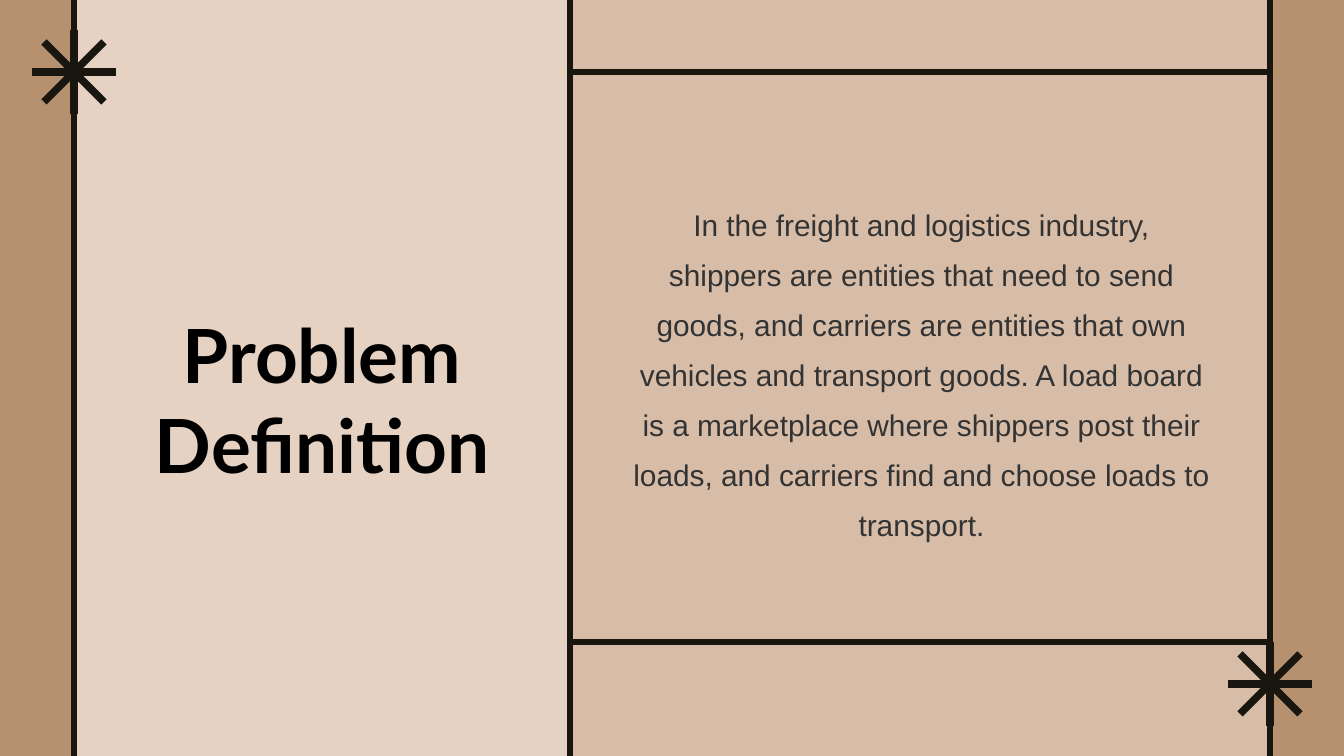
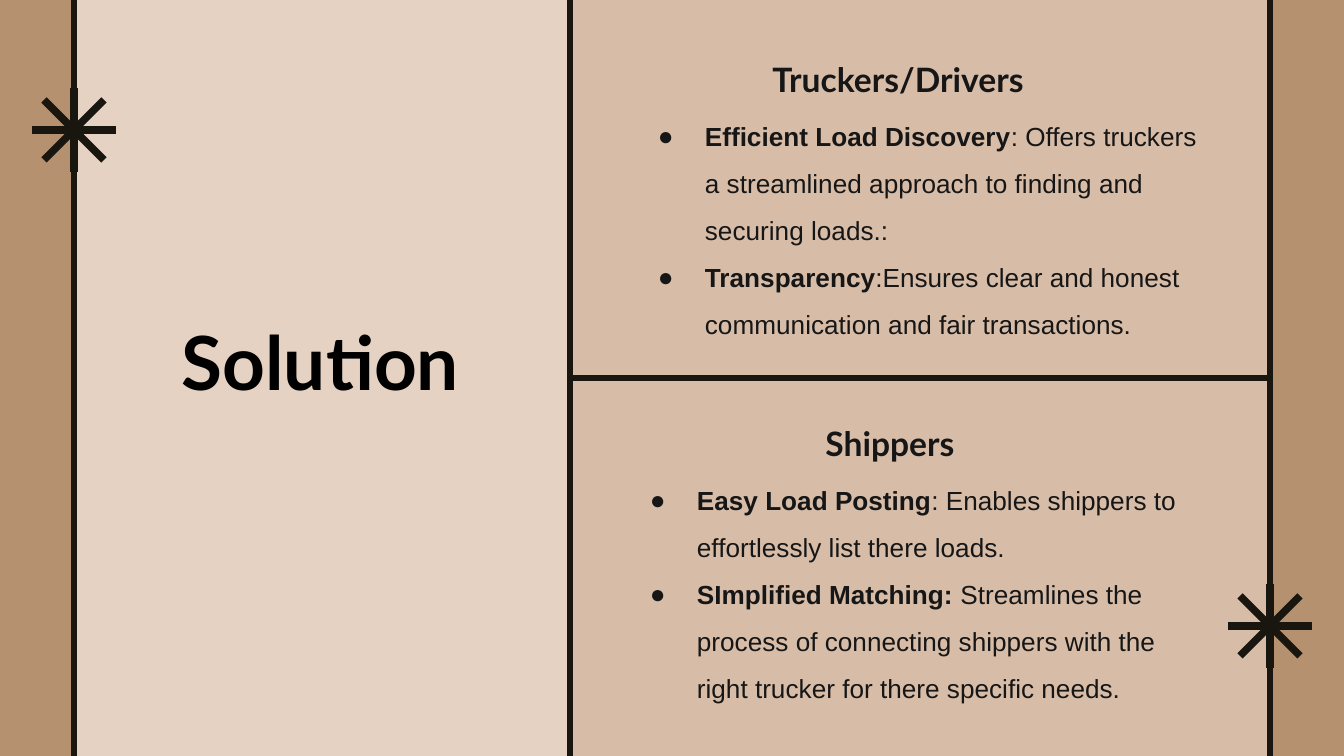
"""Builds two framed slides: the problem definition and the solution."""
from dataclasses import dataclass

from lxml import etree
from pptx import Presentation
from pptx.dml.color import RGBColor
from pptx.enum.shapes import MSO_CONNECTOR, MSO_SHAPE
from pptx.enum.text import MSO_ANCHOR, MSO_AUTO_SIZE, PP_ALIGN
from pptx.oxml.ns import qn
from pptx.util import Emu, Pt

STRAIGHT, RECT = MSO_CONNECTOR.STRAIGHT, MSO_SHAPE.RECTANGLE
TOP, GROW = MSO_ANCHOR.TOP, MSO_AUTO_SIZE.SHAPE_TO_FIT_TEXT
CENTER, LEFT = PP_ALIGN.CENTER, PP_ALIGN.LEFT
W, H = 1344, 756
RAIL_L, RAIL_MID, RAIL_R = 74, 570, W - 74
STAR_ARM, STAR_DIAGONAL = 42, 30
BULLET_INDENT, BULLET_HANG = 67, 47


@dataclass(frozen=True)
class Theme:
    """Colours, fonts, type sizes and line weights."""
    back: str = "D7BDA8"
    band: str = "B5916F"
    panel: str = "E6D2C3"
    rule: str = "191610"
    title: str = "000000"
    body: str = "333333"
    ink: str = "171616"
    head_font: str = "Lato"
    body_font: str = "Arial"
    title_size: int = 40
    head_size: int = 18
    body_size: int = 16
    bullet_size: int = 14
    rule_width: int = 3
    star_width: int = 4
    loose: float = 1.4
    looser: float = 1.5


T = Theme()

SLIDES = [
    {
        "title": "Problem Definition",
        "title_box": (93, 309, 458, 181),
        "star_y": 72,
        "rules": [72, 642],
        "body": "In the freight and logistics industry, shippers are entities "
                "that need to send goods, and carriers are entities that own "
                "vehicles and transport goods. A load board is a marketplace "
                "where shippers post their loads, and carriers find and "
                "choose loads to transport.",
        "body_box": (633, 192, 577, 340),
    },
    {
        "title": "Solution",
        "title_box": (74, 316, 493, 90),
        "star_y": 130,
        "rules": [378],
        "groups": [
            {
                "head": "Truckers/Drivers",
                "head_box": (715, 43, 366, 40),
                "box": (638, 105, 559, 222),
                "bullets": [
                    ("Efficient Load Discovery",
                     ": Offers truckers a streamlined approach to finding "
                     "and securing loads.:"),
                    ("Transparency",
                     ":Ensures clear and honest communication and fair "
                     "transactions."),
                ],
            },
            {
                "head": "Shippers",
                "head_box": (707, 407, 366, 40),
                "box": (630, 469, 559, 269),
                "bullets": [
                    ("Easy Load Posting",
                     ": Enables shippers to effortlessly list there loads."),
                    ("SImplified Matching: ",
                     "Streamlines the process of connecting shippers with "
                     "the right trucker for there specific needs."),
                ],
            },
        ],
    },
]


def px(n):
    """Turn px into EMU."""
    return Emu(round(n * 9144000 / W))


def rgb(colour):
    """Turn a hex string into a colour."""
    return RGBColor.from_string(colour)


def add_block(s, x, width, colour):
    """Add a full-height plain rectangle."""
    sp = s.shapes.add_shape(RECT, px(x), 0, px(width), px(H))
    sp.shadow.inherit = False
    sp.fill.solid()
    sp.fill.fore_color.rgb = rgb(colour)
    sp.line.fill.background()


def add_line(s, x1, y1, x2, y2, width=T.rule_width):
    """Add a straight dark line."""
    line = s.shapes.add_connector(STRAIGHT, px(x1), px(y1), px(x2), px(y2))
    line.line.color.rgb = rgb(T.rule)
    line.line.width = Pt(width)
    etree.SubElement(line._element.spPr, qn("a:effectLst"))


def add_star(s, x, y):
    """Add an eight-armed star centred on a point."""
    a, d = STAR_ARM, STAR_DIAGONAL
    for dx, dy in [(a, 0), (0, a), (d, d), (-d, d)]:
        add_line(s, x - dx, y - dy, x + dx, y + dy, T.star_width)


def set_frame(sp, box):
    """Place a text shape and give it a wrapping frame without insets."""
    sp.left, sp.top, sp.width, sp.height = map(px, box)
    tf = sp.text_frame
    tf.word_wrap = True
    tf.auto_size = GROW
    tf.vertical_anchor = TOP
    tf.margin_left = tf.margin_right = tf.margin_top = tf.margin_bottom = 0
    return tf


def add_textbox(s, box):
    """Add a text box and return its frame."""
    return set_frame(s.shapes.add_textbox(*map(px, box)), box)


def add_run(p, text, font, size, colour, bold=False):
    """Add one formatted run."""
    r = p.add_run()
    r.text = text
    r.font.name, r.font.size, r.font.bold = font, Pt(size), bold
    r.font.color.rgb = rgb(colour)


def set_bullet(p):
    """Give a paragraph a hanging round bullet."""
    ppr = p._p.get_or_add_pPr()
    ppr.set("marL", str(px(BULLET_INDENT)))
    ppr.set("indent", str(-px(BULLET_HANG)))
    clr = etree.SubElement(ppr, qn("a:buClr"))
    etree.SubElement(clr, qn("a:srgbClr"), val=T.ink)
    etree.SubElement(ppr, qn("a:buFont"), typeface=T.body_font)
    etree.SubElement(ppr, qn("a:buChar"), char="●")


def add_centred(tf, text, font, size, colour, bold=False, spacing=None):
    """Fill a frame with one centred paragraph."""
    p = tf.paragraphs[0]
    p.alignment = CENTER
    p.line_spacing = spacing
    add_run(p, text, font, size, colour, bold)


def add_group(s, group):
    """Add a heading and its bullet list."""
    add_centred(add_textbox(s, group["head_box"]), group["head"],
                T.head_font, T.head_size, T.ink, True, T.loose)
    tf = add_textbox(s, group["box"])
    for i, (lead, rest) in enumerate(group["bullets"]):
        p = tf.add_paragraph() if i else tf.paragraphs[0]
        p.alignment = LEFT
        p.line_spacing = T.looser
        set_bullet(p)
        add_run(p, lead, T.body_font, T.bullet_size, T.ink, True)
        add_run(p, rest, T.body_font, T.bullet_size, T.ink)


def add_backdrop(s, star_y, rules):
    """Draw the bands, panel, rules and stars that the slides share."""
    s.background.fill.solid()
    s.background.fill.fore_color.rgb = rgb(T.back)
    add_block(s, 0, RAIL_L, T.band)
    add_block(s, RAIL_R, W - RAIL_R, T.band)
    add_block(s, RAIL_L, RAIL_MID - RAIL_L, T.panel)
    for x in (RAIL_L, RAIL_MID, RAIL_R):
        add_line(s, x, 0, x, H)
    for y in rules:
        add_line(s, RAIL_MID, y, RAIL_R, y)
    add_star(s, RAIL_L, star_y)
    add_star(s, RAIL_R, H - star_y)


def add_slide(prs, data):
    """Build one slide from its content."""
    s = prs.slides.add_slide(prs.slide_layouts[5])
    add_backdrop(s, data["star_y"], data["rules"])
    title = s.shapes.title
    title._element.getparent().append(title._element)
    add_centred(set_frame(title, data["title_box"]), data["title"],
                T.head_font, T.title_size, T.title, True)
    if "body" in data:
        add_centred(add_textbox(s, data["body_box"]), data["body"],
                    T.body_font, T.body_size, T.body, spacing=T.loose)
    for group in data.get("groups", []):
        add_group(s, group)


def main():
    """Build and save the presentation."""
    prs = Presentation()
    prs.slide_width, prs.slide_height = px(W), px(H)
    for data in SLIDES:
        add_slide(prs, data)
    prs.save("out.pptx")


if __name__ == "__main__":
    main()
